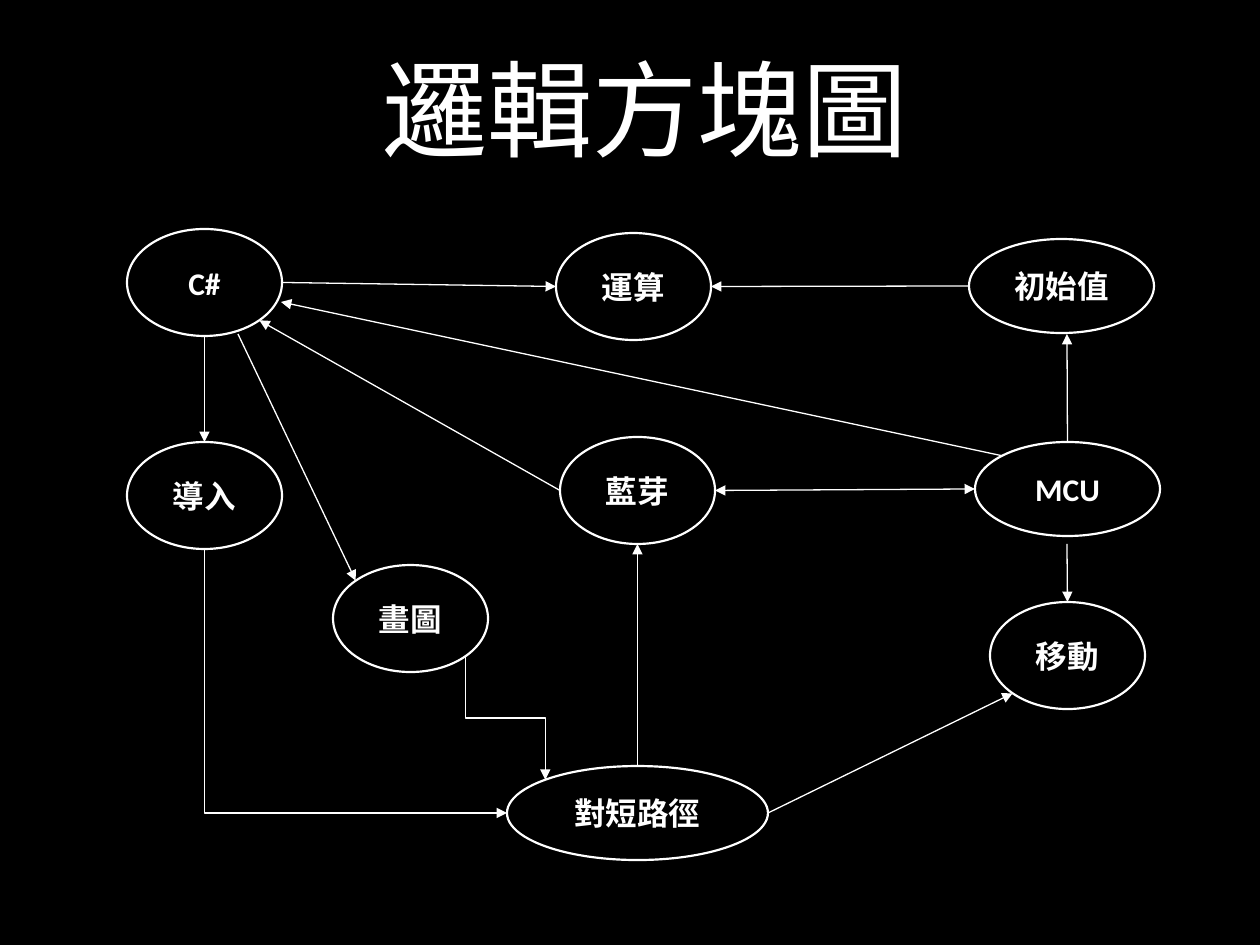
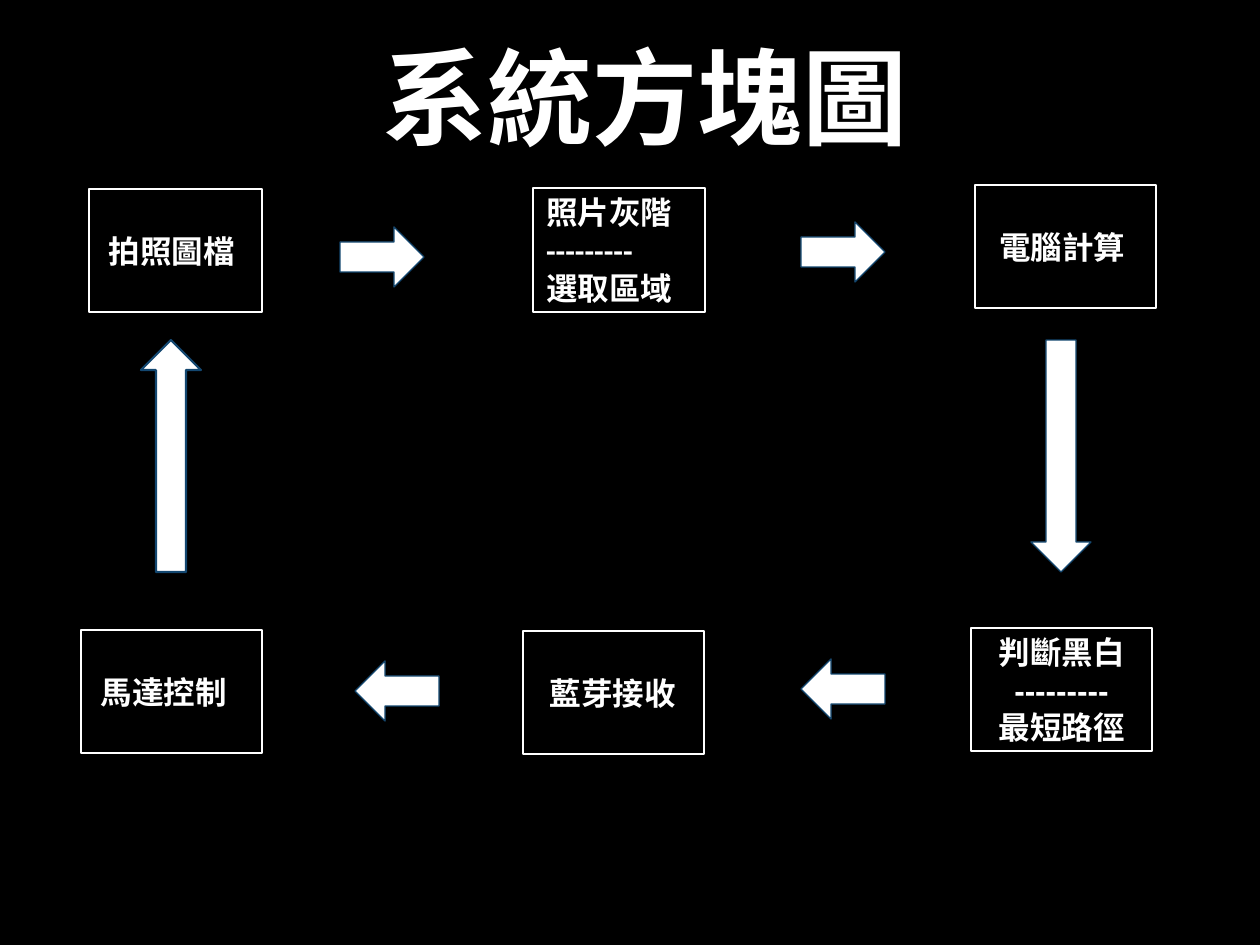
from math import sqrt

from lxml import etree
from pptx import Presentation
from pptx.dml.color import RGBColor
from pptx.enum.shapes import MSO_CONNECTOR, MSO_SHAPE
from pptx.enum.text import MSO_ANCHOR, PP_ALIGN
from pptx.oxml.ns import qn
from pptx.util import Pt

STRAIGHT, ELBOW = MSO_CONNECTOR.STRAIGHT, MSO_CONNECTOR.ELBOW
OVAL, RECTANGLE = MSO_SHAPE.OVAL, MSO_SHAPE.RECTANGLE
RIGHT_ARROW, UP_ARROW = MSO_SHAPE.RIGHT_ARROW, MSO_SHAPE.UP_ARROW
LEFT, CENTER, JUSTIFY = PP_ALIGN.LEFT, PP_ALIGN.CENTER, PP_ALIGN.JUSTIFY
TOP_ANCHOR, MIDDLE_ANCHOR = MSO_ANCHOR.TOP, MSO_ANCHOR.MIDDLE

BLACK = RGBColor(0x00, 0x00, 0x00)
WHITE = RGBColor(0xFF, 0xFF, 0xFF)
NAVY = RGBColor(0x13, 0x47, 0x70)
CALIBRI, CAMBRIA, ARIAL = "Calibri", "Cambria", "Arial"

EMU_PER_PX = 914400 / 126
SLIDE_SIZE = (1260, 945)
TITLE_SIZE, LABEL_SIZE = 60, 18
INSET, SMALL_INSET = 13, 6

# Connection sites of an ellipse, numbered counter-clockwise from the top
TOP, TOP_LEFT, LEFT_SIDE, BOTTOM_LEFT, BOTTOM, BOTTOM_RIGHT, RIGHT_SIDE = range(7)
DIAGONAL = sqrt(0.5)
SITE_DIRECTIONS = [(0, -1), (-DIAGONAL, -DIAGONAL), (-1, 0), (-DIAGONAL, DIAGONAL),
                   (0, 1), (DIAGONAL, DIAGONAL), (1, 0)]

NORMAL, WIDE, WIDEST = (155, 107), (185, 94), (261, 94)

LOGIC_TITLE = "邏輯方塊圖"
# label: (left, top, size, font)
LOGIC_NODES = {
    "C#": (127, 229, NORMAL, CALIBRI),
    "運算": (556, 233, NORMAL, CALIBRI),
    "畫圖": (333, 565, NORMAL, CALIBRI),
    "藍芽": (560, 437, NORMAL, CALIBRI),
    "移動": (990, 602, NORMAL, CALIBRI),
    "導入": (127, 442, NORMAL, CAMBRIA),
    "對短路徑": (507, 766, WIDEST, CALIBRI),
    "初始值": (969, 239, WIDE, CALIBRI),
    "MCU": (975, 442, WIDE, CALIBRI),
}
# Each end is (node, site), or a free point (x, y)
STRAIGHT_LINKS = [
    (("C#", RIGHT_SIDE), ("運算", LEFT_SIDE)),
    (("初始值", LEFT_SIDE), ("運算", RIGHT_SIDE)),
    (("藍芽", LEFT_SIDE), ("C#", BOTTOM_RIGHT)),
    (("C#", BOTTOM), ("導入", TOP)),
    ((238, 334), ("畫圖", TOP_LEFT)),
    (("對短路徑", TOP), ("藍芽", BOTTOM)),
    (("對短路徑", RIGHT_SIDE), ("移動", BOTTOM_LEFT)),
    (("MCU", TOP_LEFT), (281, 302)),
    (("MCU", TOP), (1067, 334)),
    ((1067, 544), ("移動", TOP)),
]
TWO_WAY_LINKS = [(("藍芽", RIGHT_SIDE), ("MCU", LEFT_SIDE))]
ELBOW_LINKS = [
    (("導入", BOTTOM), ("對短路徑", LEFT_SIDE), "bentConnector2"),
    (("畫圖", BOTTOM_RIGHT), ("對短路徑", TOP_LEFT), "bentConnector3"),
]

SYSTEM_TITLE = "系統方塊圖"
# (left, top, width, height), alignment, (left, right) indent, lines of (text, font)
SYSTEM_STEPS = [
    ((89, 189, 173, 123), LEFT, (7, 0), [("拍照圖檔", CALIBRI)]),
    ((533, 188, 172, 124), JUSTIFY, (0, 0),
     [("照片灰階", CALIBRI), ("---------", CALIBRI), ("選取區域", CALIBRI)]),
    ((975, 185, 181, 123), CENTER, (0, 7), [("電腦計算", CALIBRI)]),
    ((971, 628, 181, 123), CENTER, (0, 0),
     [("判斷黑白", CALIBRI), ("---------", ARIAL), ("最短路徑", CALIBRI)]),
    ((523, 631, 181, 123), LEFT, (14, 0), [("藍芽接收", ARIAL)]),
    ((81, 630, 181, 123), LEFT, (7, 0), [("馬達控制", ARIAL)]),
]
# preset, (left, top, width, height), rotation, line width
FLOW_ARROWS = [
    (RIGHT_ARROW, (340, 227, 84, 60), 0, 0.75),
    (RIGHT_ARROW, (801, 222, 84, 60), 0, 0.75),
    (RIGHT_ARROW, (945, 426, 232, 60), 90, 0.75),
    (RIGHT_ARROW, (801, 659, 84, 60), 180, 0.75),
    (RIGHT_ARROW, (355, 661, 84, 60), 180, 0.75),
    (UP_ARROW, (141, 340, 60, 232), 0, 1.25),
]


def px(*lengths):
    return [round(length * EMU_PER_PX) for length in lengths]


def add_slide(presentation):
    slide = presentation.slides.add_slide(presentation.slide_layouts[6])
    slide.background.fill.solid()
    slide.background.fill.fore_color.rgb = BLACK
    return slide


def write(shape, lines, size, bold, alignment, insets, anchor=MIDDLE_ANCHOR):
    """Fill a shape with one paragraph for each (text, font); insets are left, top, right, bottom."""
    frame = shape.text_frame
    frame.word_wrap = True
    frame.vertical_anchor = anchor
    (frame.margin_left, frame.margin_top,
     frame.margin_right, frame.margin_bottom) = px(*insets)
    for index, (text, font) in enumerate(lines):
        paragraph = frame.add_paragraph() if index else frame.paragraphs[0]
        paragraph.alignment = alignment
        run = paragraph.add_run()
        run.text = text
        run.font.name = font
        run.font.size = Pt(size)
        run.font.bold = bold
        run.font.color.rgb = WHITE


def add_title(slide, text, box, font, bold, anchor):
    title = slide.shapes.add_textbox(*px(*box))
    write(title, [(text, font)], TITLE_SIZE, bold, CENTER,
          (INSET, SMALL_INSET, INSET, SMALL_INSET), anchor)
    return title


def add_outlined(slide, preset, box, line_color, line_width, fill=None):
    shape = slide.shapes.add_shape(preset, *px(*box))
    shape.shadow.inherit = False
    if fill is None:
        shape.fill.background()
    else:
        shape.fill.solid()
        shape.fill.fore_color.rgb = fill
    shape.line.color.rgb = line_color
    shape.line.width = Pt(line_width)
    return shape


def locate(end):
    """Return the point of a link's end in px."""
    if end[0] not in LOGIC_NODES:
        return end
    name, site = end
    left, top, (width, height), _ = LOGIC_NODES[name]
    across, down = SITE_DIRECTIONS[site]
    return left + width / 2 * (1 + across), top + height / 2 * (1 + down)


def style_link(connector, ends, nodes, two_way=False):
    """Set line and arrowheads, and glue the ends that sit on a node."""
    connector.line.color.rgb = WHITE
    connector.line.width = Pt(0.75)
    line = connector.line._ln
    if two_way:
        etree.SubElement(line, qn("a:headEnd"), type="triangle")
    etree.SubElement(line, qn("a:tailEnd"), type="triangle")
    etree.SubElement(connector._element.spPr, qn("a:effectLst"))
    properties = connector._element.find(".//" + qn("p:cNvCxnSpPr"))
    for tag, (name, site) in zip(("a:stCxn", "a:endCxn"), ends):
        if name in nodes:
            etree.SubElement(properties, qn(tag),
                             id=str(nodes[name].shape_id), idx=str(site))


def add_straight_link(slide, start, end, nodes, two_way=False):
    connector = slide.shapes.add_connector(STRAIGHT, *px(*locate(start), *locate(end)))
    style_link(connector, (start, end), nodes, two_way)


def add_elbow_link(slide, start, end, preset, nodes):
    """Add a bent link that leaves downwards: its box is laid on its side, then turned."""
    (x1, y1), (x2, y2) = locate(start), locate(end)
    center_x, center_y = (x1 + x2) / 2, (y1 + y2) / 2
    half_width, half_height = (y2 - y1) / 2, (x2 - x1) / 2
    connector = slide.shapes.add_connector(ELBOW, *px(
        center_x - half_width, center_y - half_height,
        center_x + half_width, center_y + half_height))
    properties = connector._element.spPr
    frame = properties.find(qn("a:xfrm"))
    frame.set("rot", str(270 * 60000))
    frame.set("flipH", "1")
    properties.find(qn("a:prstGeom")).set("prst", preset)
    style_link(connector, (start, end), nodes)


def build_logic_slide(presentation):
    slide = add_slide(presentation)
    title = add_title(slide, LOGIC_TITLE, (193, 13, 903, 331), CALIBRI, False, TOP_ANCHOR)
    title.text_frame.paragraphs[0].line_spacing = 1.2
    nodes = {}
    for name, (left, top, size, font) in LOGIC_NODES.items():
        nodes[name] = add_outlined(slide, OVAL, (left, top, *size), WHITE, 1.25)
        write(nodes[name], [(name, font)], LABEL_SIZE, True, CENTER,
              (INSET, SMALL_INSET, INSET, SMALL_INSET))
    for start, end in STRAIGHT_LINKS:
        add_straight_link(slide, start, end, nodes)
    for start, end in TWO_WAY_LINKS:
        add_straight_link(slide, start, end, nodes, two_way=True)
    for start, end, preset in ELBOW_LINKS:
        add_elbow_link(slide, start, end, preset, nodes)


def build_system_slide(presentation):
    slide = add_slide(presentation)
    add_title(slide, SYSTEM_TITLE, (78, 13, 1134, 165), ARIAL, True, MIDDLE_ANCHOR)
    for box, alignment, (indent_left, indent_right), lines in SYSTEM_STEPS:
        step = add_outlined(slide, RECTANGLE, box, WHITE, 0.75)
        write(step, lines, LABEL_SIZE, True, alignment,
              (INSET + indent_left, INSET, INSET + indent_right, INSET))
    for preset, box, rotation, line_width in FLOW_ARROWS:
        arrow = add_outlined(slide, preset, box, NAVY, line_width, WHITE)
        arrow.rotation = rotation


def main():
    presentation = Presentation()
    presentation.slide_width, presentation.slide_height = px(*SLIDE_SIZE)
    build_logic_slide(presentation)
    build_system_slide(presentation)
    presentation.save("out.pptx")


if __name__ == "__main__":
    main()
